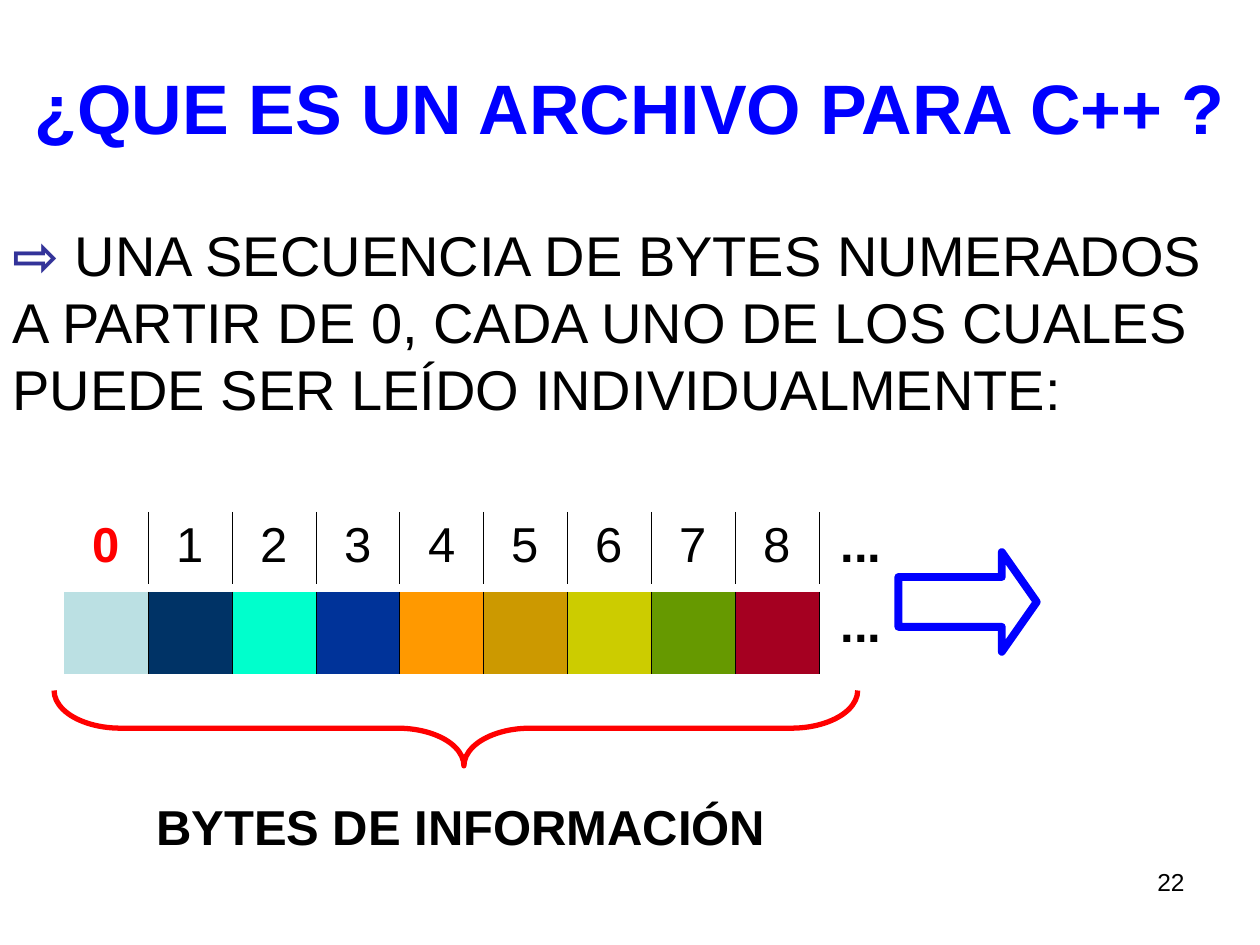
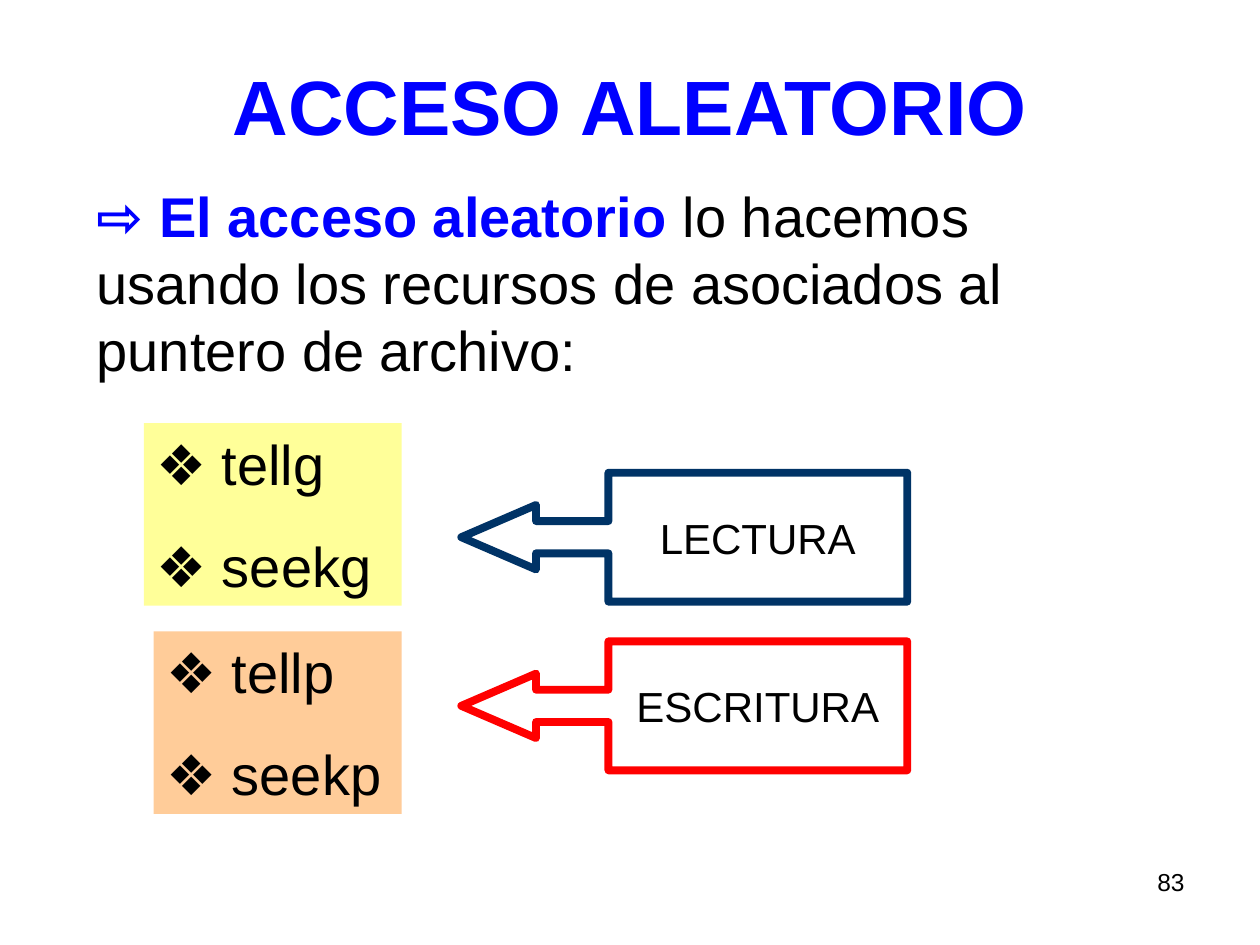
from lxml.etree import SubElement
from pptx import Presentation
from pptx.dml.color import RGBColor
from pptx.enum.shapes import MSO_SHAPE
from pptx.enum.text import MSO_ANCHOR, PP_ALIGN
from pptx.oxml.ns import qn
from pptx.util import Cm, Pt

LEFT, CENTER, RIGHT = PP_ALIGN.LEFT, PP_ALIGN.CENTER, PP_ALIGN.RIGHT
TOP, MIDDLE = MSO_ANCHOR.TOP, MSO_ANCHOR.MIDDLE
RECTANGLE, BRACE = MSO_SHAPE.RECTANGLE, MSO_SHAPE.RIGHT_BRACE
RIGHT_ARROW, ARROW_CALLOUT = MSO_SHAPE.RIGHT_ARROW, MSO_SHAPE.LEFT_ARROW_CALLOUT

FONT = "Arial"
BLACK = RGBColor(0x00, 0x00, 0x00)
WHITE = RGBColor(0xFF, 0xFF, 0xFF)
BLUE = RGBColor(0x00, 0x00, 0xFF)
INDIGO = RGBColor(0x33, 0x33, 0x99)
NAVY = RGBColor(0x00, 0x33, 0x66)
RED = RGBColor(0xFF, 0x00, 0x00)
PALE_YELLOW = RGBColor(0xFF, 0xFF, 0x99)
PEACH = RGBColor(0xFF, 0xCC, 0x99)
BYTE_COLORS = [RGBColor.from_string(code) for code in (
    "BBE0E3", "003366", "00FFCC", "003399", "FF9900",
    "CC9900", "CCCC00", "669900", "A50021")]

# Content: a paragraph is a list of runs (text, colour, bold); boxes are in cm
FILE_SLIDE = {
    "title": "¿QUE ES UN ARCHIVO PARA C++ ?",
    "title_size": 40,
    "title_box": (0, 0.56, 25.4, 3.18),
    "intro": [("⇨", INDIGO, True),
              (" UNA SECUENCIA DE BYTES NUMERADOS A PARTIR DE 0, CADA UNO DE "
               "LOS CUALES PUEDE SER LEÍDO INDIVIDUALMENTE:", BLACK, False)],
    "intro_box": (0, 4.32, 24.71, 5.69),
    "number": "22",
}
ACCESS_SLIDE = {
    "title": "ACCESO ALEATORIO",
    "title_size": 44,
    "title_box": (1.27, 0.53, 22.86, 3.18),
    "intro": [("⇨ El acceso aleatorio", BLUE, True),
              (" lo hacemos usando los recursos de asociados al puntero de "
               "archivo:", BLACK, False)],
    "intro_box": (1.7, 3.53, 21.79, 4.32),
    "number": "83",
}
ELLIPSIS = ("...", BLACK, True)
BYTE_NUMBERS = [("0", RED, True),
                *((str(n), BLACK, False) for n in range(1, len(BYTE_COLORS))),
                ELLIPSIS]
BYTE_CELLS = [None] * len(BYTE_COLORS) + [ELLIPSIS]
BYTES_CAPTION = "BYTES DE INFORMACIÓN"
POINTER_GROUPS = [
    # functions, fill, left, top, purpose, purpose colour, callout top
    (("tellg", "seekg"), PALE_YELLOW, 2.9, 8.53, "LECTURA", NAVY, 9.53),
    (("tellp", "seekp"), PEACH, 3.1, 12.73, "ESCRITURA", RED, 12.93),
]
GROUPS_RIGHT = 8.1
CELL_WIDTH = 1.69
CALLOUT_ADJUSTMENTS = (0.25, 0.25, 0.58, 0.67)


def write_text(frame, paragraphs, *, size, align=LEFT, anchor=TOP, wrap=True,
               space_before=0):
    """Fill a frame with paragraphs; the first one gets no space before."""
    frame.word_wrap = wrap
    frame.vertical_anchor = anchor
    for index, runs in enumerate(paragraphs):
        paragraph = frame.add_paragraph() if index else frame.paragraphs[0]
        paragraph.alignment = align
        paragraph.space_before = Pt(space_before if index else 0)
        for text, color, bold in runs:
            run = paragraph.add_run()
            run.text = text
            run.font.name = FONT
            run.font.size = Pt(size)
            run.font.bold = bold
            run.font.color.rgb = color


def add_text(slide, box, paragraphs, **style):
    frame = slide.shapes.add_textbox(*map(Cm, box)).text_frame
    write_text(frame, paragraphs, **style)


def add_figure(slide, preset, box, *, fill=None, line=None, weight=4.5,
               adjustments=()):
    figure = slide.shapes.add_shape(preset, *map(Cm, box))
    figure.shadow.inherit = False
    for index, value in enumerate(adjustments):
        figure.adjustments[index] = value
    if fill is None:
        figure.fill.background()
    else:
        figure.fill.solid()
        figure.fill.fore_color.rgb = fill
    if line is None:
        figure.line.fill.background()
    else:
        figure.line.color.rgb = line
        figure.line.width = Pt(weight)
    return figure


def set_borders(cell, visible_sides):
    """Draw thin black lines on the given sides (L, R, T, B) and none elsewhere."""
    properties = cell._tc.get_or_add_tcPr()
    for side in "LRTB":
        border = SubElement(properties, qn(f"a:ln{side}"), w=str(Pt(0.45)))
        if side in visible_sides:
            paint = SubElement(border, qn("a:solidFill"))
            SubElement(paint, qn("a:srgbClr"), val=str(BLACK))
        else:
            SubElement(border, qn("a:noFill"))


def add_byte_row(slide, top, height, entries, fills):
    count = len(entries)
    table = slide.shapes.add_table(
        1, count, Cm(1.3), Cm(top), Cm(CELL_WIDTH * count), Cm(height)).table
    table.first_row = table.horz_banding = False
    table.rows[0].height = Cm(height)
    for index, (entry, fill) in enumerate(zip(entries, fills)):
        table.columns[index].width = Cm(CELL_WIDTH)
        cell = table.cell(0, index)
        set_borders(cell, ("L" if index else "") + ("R" if index < count - 1 else ""))
        cell.fill.solid()
        cell.fill.fore_color.rgb = fill
        if entry:
            write_text(cell.text_frame, [[entry]], size=28, align=CENTER)


def add_base_slide(deck, content):
    slide = deck.slides.add_slide(deck.slide_layouts[5])
    title = slide.shapes.title
    title.left, title.top, title.width, title.height = map(Cm, content["title_box"])
    write_text(title.text_frame, [[(content["title"], BLUE, True)]],
               size=content["title_size"], align=CENTER, anchor=MIDDLE)
    add_text(slide, content["intro_box"], [content["intro"]], size=32)
    add_text(slide, (18.2, 17.35, 5.93, 1.32),
             [[(content["number"], BLACK, False)]], size=14, align=RIGHT)
    return slide


def build_file_slide(deck):
    slide = add_base_slide(deck, FILE_SLIDE)
    add_byte_row(slide, 10.32, 1.45, BYTE_NUMBERS, [WHITE] * len(BYTE_NUMBERS))
    add_byte_row(slide, 11.93, 1.65, BYTE_CELLS, BYTE_COLORS + [WHITE])
    brace = add_figure(slide, BRACE, (8.43, 6.58, 1.52, 16.2), line=RED,
                       weight=3, adjustments=(0.88, 0.49))
    brace.rotation = 90
    add_text(slide, (2.9, 15.93, 12.9, 1.45),
             [[(BYTES_CAPTION, BLACK, True)]], size=28)
    add_figure(slide, RIGHT_ARROW, (18.11, 11.13, 2.79, 2.01), line=BLUE,
               adjustments=(0.5, 0.35))


def build_access_slide(deck):
    slide = add_base_slide(deck, ACCESS_SLIDE)
    for functions, fill, left, top, purpose, color, callout_top in POINTER_GROUPS:
        group = add_figure(slide, RECTANGLE,
                           (left, top, GROUPS_RIGHT - left, 3.68), fill=fill)
        write_text(group.text_frame,
                   [[(f"❖ {name}", BLACK, False)] for name in functions],
                   size=32, space_before=20)
        callout = add_figure(slide, ARROW_CALLOUT, (9.3, callout_top, 8.99, 2.6),
                             line=color, adjustments=CALLOUT_ADJUSTMENTS)
        write_text(callout.text_frame, [[(purpose, BLACK, False)]], size=24,
                   align=CENTER, anchor=MIDDLE, wrap=False)


def main():
    deck = Presentation()
    deck.slide_width, deck.slide_height = Cm(25.4), Cm(19.05)
    build_file_slide(deck)
    build_access_slide(deck)
    deck.save("out.pptx")


if __name__ == "__main__":
    main()
